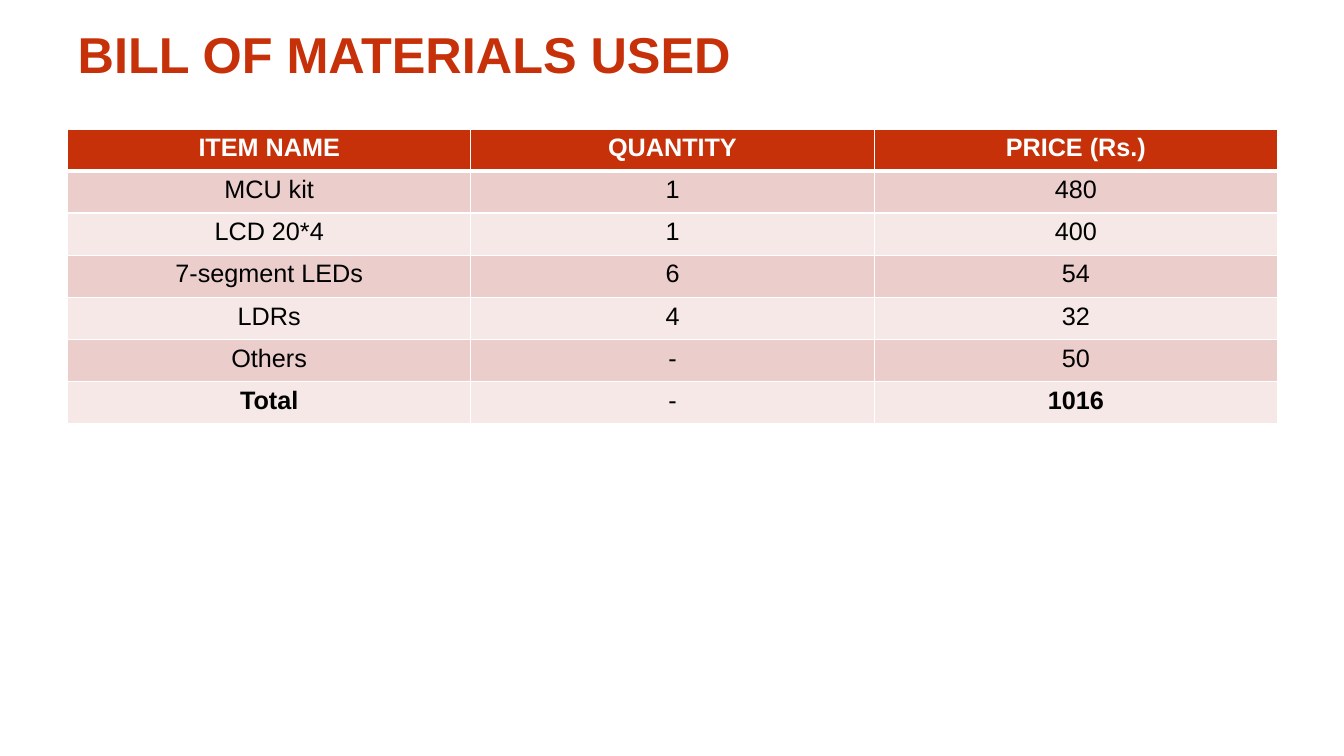
"""Build the bill of materials slide with its price table."""
from lxml import etree
from pptx import Presentation
from pptx import util as u
from pptx.dml.color import RGBColor
from pptx.enum import text
from pptx.oxml import ns

RUST = RGBColor(0xC7, 0x31, 0x09)
ROSE = RGBColor(0xEB, 0xCE, 0xCC)
BLUSH = RGBColor(0xF5, 0xE8, 0xE7)
WHITE = RGBColor(0xFF, 0xFF, 0xFF)
BLACK = RGBColor(0x00, 0x00, 0x00)

MATERIALS = [
    ("ITEM NAME", "QUANTITY", "PRICE (Rs.)"),
    ("MCU kit", "1", "480"),
    ("LCD 20*4", "1", "400"),
    ("7-segment LEDs", "6", "54"),
    ("LDRs", "4", "32"),
    ("Others", "-", "50"),
    ("Total", "-", "1016"),
]


def style_font(font, size, color, bold):
    font.name = "Arial"
    font.size = u.Pt(size)
    font.bold = bold
    font.color.rgb = color


def add_border(cell, side, width):
    line = etree.SubElement(cell._tc.get_or_add_tcPr(), ns.qn(f"a:ln{side}"), w=str(u.Pt(width)))
    fill = etree.SubElement(line, ns.qn("a:solidFill"))
    etree.SubElement(fill, ns.qn("a:srgbClr"), val=str(WHITE))


prs = Presentation()
prs.slide_width, prs.slide_height = u.Inches(13.33), u.Inches(7.5)
slide = prs.slides.add_slide(prs.slide_layouts[5])

heading = slide.shapes.title
heading.left, heading.top = u.Inches(0.67), u.Inches(0.21)
heading.width, heading.height = u.Inches(12), u.Inches(0.64)
heading.text_frame.text = "BILL OF MATERIALS USED"
heading.text_frame.vertical_anchor = text.MSO_ANCHOR.MIDDLE
heading_line = heading.text_frame.paragraphs[0]
heading_line.alignment = text.PP_ALIGN.LEFT
style_font(heading_line.runs[0].font, 36, RUST, True)

bill = slide.shapes.add_table(
    len(MATERIALS), 3, u.Inches(0.67), u.Inches(1.28), u.Inches(12), u.Inches(2.92)
).table

for row, entries in enumerate(MATERIALS):
    is_header = row == 0
    is_total = row == len(MATERIALS) - 1
    for column, entry in enumerate(entries):
        cell = bill.cell(row, column)
        for side in "LRTB":
            thick = (is_header and side == "B") or (row == 1 and side == "T")
            add_border(cell, side, 3 if thick else 1)
        cell.fill.solid()
        cell.fill.fore_color.rgb = RUST if is_header else ROSE if row % 2 else BLUSH
        cell.text_frame.text = entry
        label = cell.text_frame.paragraphs[0]
        label.alignment = text.PP_ALIGN.CENTER
        bold = is_header or (is_total and entry != "-")
        style_font(label.runs[0].font, 18, WHITE if is_header else BLACK, bold)

prs.save("out.pptx")
